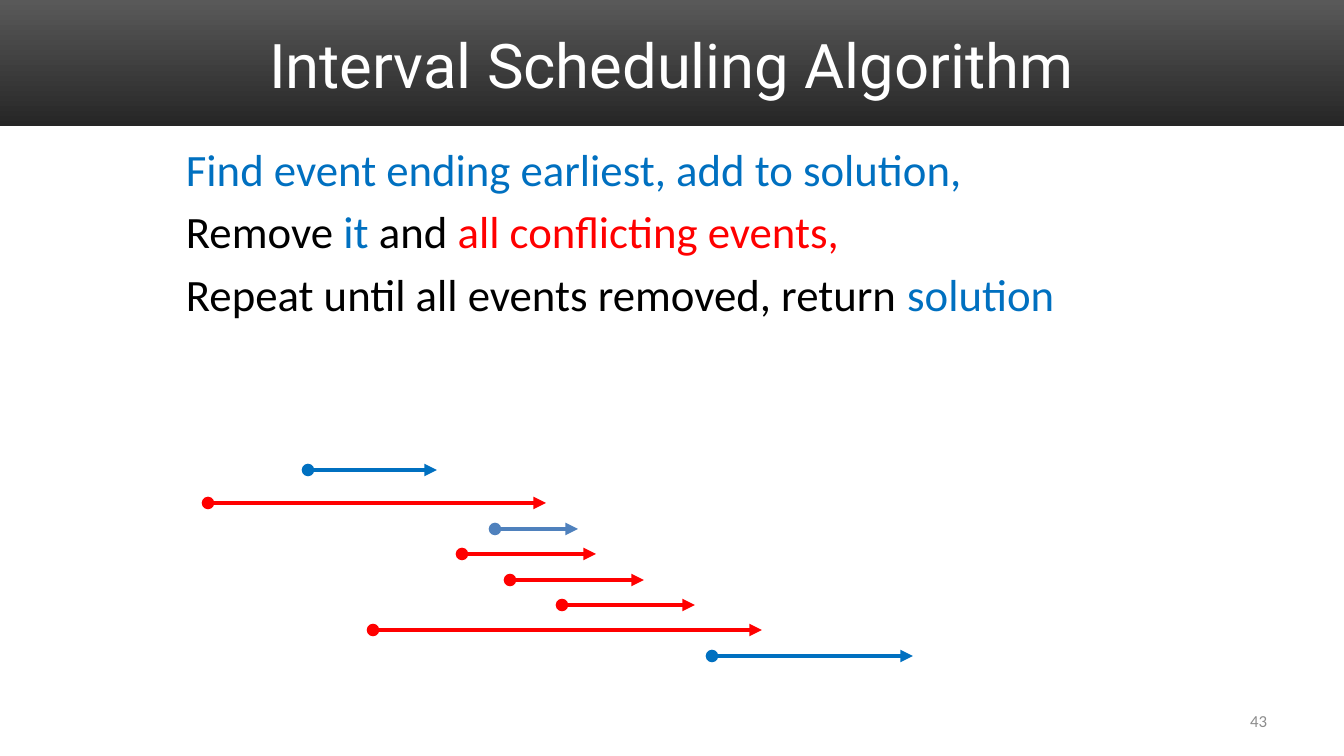
from dataclasses import dataclass

import pptx
import pptx.dml.color
import pptx.enum.shapes
import pptx.enum.text
import pptx.oxml
import pptx.oxml.ns
import pptx.util

EMU_PER_PX = 914400 / 100.8
ALIGN = pptx.enum.text.PP_ALIGN


@dataclass(frozen=True)
class Theme:
    heading_font: str = "Roboto"
    body_font: str = "Calibri"
    title_size: int = 44
    body_size: int = 32
    number_size: int = 12
    line_width: int = 3
    paragraph_gap: int = 6
    banner_top: str = "595959"
    banner_bottom: str = "262626"
    white: str = "FFFFFF"
    black: str = "000000"
    gray: str = "8C8C8C"
    chosen: str = "0070C0"
    conflict: str = "FF0000"
    other: str = "4F81BD"


def px(length):
    return pptx.util.Emu(round(length * EMU_PER_PX))


def rgb(color):
    return pptx.dml.color.RGBColor.from_string(color)


class SlideBuilder:
    def __init__(self, slide, theme):
        self.slide = slide
        self.theme = theme

    def banner(self, left, top, width, height):
        shape = self.slide.shapes.add_shape(
            pptx.enum.shapes.MSO_SHAPE.RECTANGLE, *map(px, (left, top, width, height)))
        shape.shadow.inherit = False
        shape.line.fill.background()
        shape.fill.gradient()
        shape.fill.gradient_angle = 270
        colors = (self.theme.banner_top, self.theme.banner_bottom)
        for position, (stop, color) in enumerate(zip(shape.fill.gradient_stops, colors)):
            stop.position = position
            stop.color.rgb = rgb(color)

    def text(self, box, paragraphs, font, size, align=ALIGN.LEFT):
        """Each paragraph is a list of (text, color) runs."""
        frame = self.slide.shapes.add_textbox(*map(px, box)).text_frame
        frame.word_wrap = True
        frame.vertical_anchor = pptx.enum.text.MSO_ANCHOR.MIDDLE
        for index, runs in enumerate(paragraphs):
            paragraph = frame.add_paragraph() if index else frame.paragraphs[0]
            paragraph.alignment = align
            if index:
                paragraph.space_before = pptx.util.Pt(self.theme.paragraph_gap)
            paragraph.font.name = font
            paragraph.font.size = pptx.util.Pt(size)
            if len(runs) == 1:
                paragraph.font.color.rgb = rgb(runs[0][1])
            for content, color in runs:
                run = paragraph.add_run()
                run.text = content
                if len(runs) > 1:
                    run.font.color.rgb = rgb(color)

    def event(self, start, end, y, color):
        connector = self.slide.shapes.add_connector(
            pptx.enum.shapes.MSO_CONNECTOR.STRAIGHT, px(start), px(y), px(end), px(y))
        connector.line.width = pptx.util.Pt(self.theme.line_width)
        connector.line.color.rgb = rgb(color)
        outline = connector.line._get_or_add_ln()
        for parent, tag, kind in ((outline, "a:headEnd", "oval"),
                                  (outline, "a:tailEnd", "triangle"),
                                  (connector._element.spPr, "a:effectLst", None)):
            element = pptx.oxml.parse_xml(f"<{tag} {pptx.oxml.ns.nsdecls('a')}/>")
            if kind:
                element.set("type", kind)
            parent.append(element)


def main():
    theme = Theme()
    presentation = pptx.Presentation()
    presentation.slide_width = px(1344)
    presentation.slide_height = px(756)
    slide = presentation.slides.add_slide(presentation.slide_layouts[6])
    builder = SlideBuilder(slide, theme)

    # Title banner
    builder.banner(0, 0, 1344, 126)
    builder.text((67, 17, 1210, 93), [[("Interval Scheduling Algorithm", theme.white)]],
                 theme.heading_font, theme.title_size, ALIGN.CENTER)

    # Algorithm steps
    builder.text((176, 134, 997, 194), [
        [("Find event ending earliest, add to solution,", theme.chosen)],
        [("Remove ", theme.black), ("it", theme.chosen), (" and", theme.black),
         (" all conflicting events,", theme.conflict)],
        [("Repeat until all events removed, return ", theme.black),
         ("solution", theme.chosen)],
    ], theme.body_font, theme.body_size)

    # Slide number
    builder.text((964, 701, 313, 40), [[("43", theme.gray)]],
                 theme.body_font, theme.number_size, ALIGN.RIGHT)

    # Events as start, end, height and color
    for event in (
        (308, 437, 470, theme.chosen),
        (208, 546, 503, theme.conflict),
        (495, 578, 529, theme.other),
        (462, 596, 554, theme.conflict),
        (510, 644, 580, theme.conflict),
        (562, 695, 605, theme.conflict),
        (373, 762, 630, theme.conflict),
        (712, 913, 656, theme.chosen),
    ):
        builder.event(*event)

    presentation.save("out.pptx")


if __name__ == "__main__":
    main()
